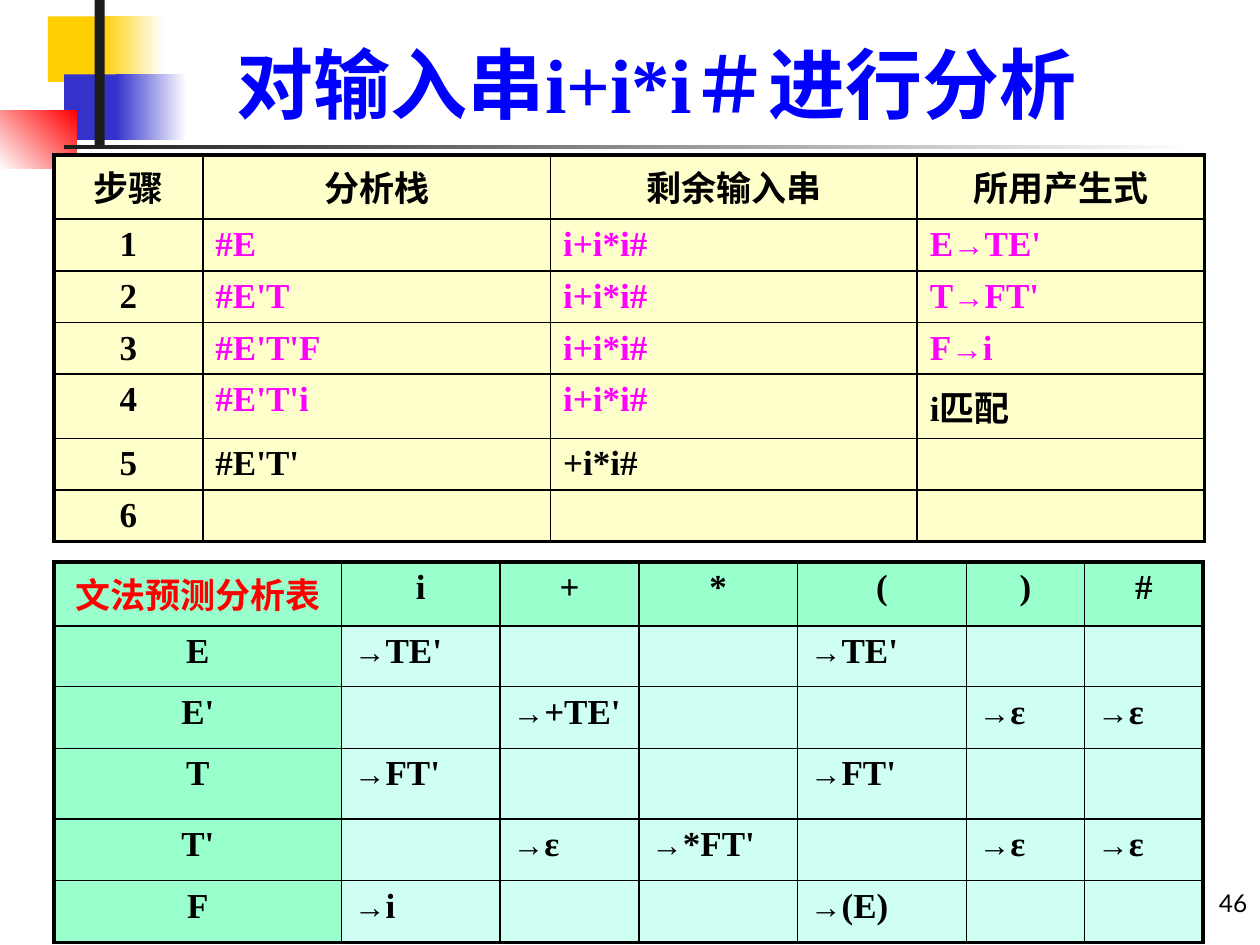
from dataclasses import dataclass

from lxml import etree
from pptx import Presentation, util as u
from pptx.dml.color import RGBColor
from pptx.enum import shapes, text
from pptx.oxml import ns


@dataclass(frozen=True)
class Theme:
    face: str = "Times New Roman"
    sans: str = "Lato"
    title: int = 44
    body: int = 20
    arrow: int = 18
    page: int = 14
    thin: float = 1
    thick: float = 2.25
    black: str = "000000"
    white: str = "FFFFFF"
    ink: str = "1C1C1C"
    gold: str = "FFCF01"
    navy: str = "3333CC"
    red: str = "FF0000"
    blue: str = "0000FF"
    pink: str = "FF00FF"
    cream: str = "FFFFCC"
    mint: str = "99FFCC"
    pale: str = "CFFFF2"


T = Theme()

STEPS = [
    ["步骤", "分析栈", "剩余输入串", "所用产生式"],
    ["1", "#E", "i+i*i#", "E→TE'"],
    ["2", "#E'T", "i+i*i#", "T→FT'"],
    ["3", "#E'T'F", "i+i*i#", "F→i"],
    ["4", "#E'T'i", "i+i*i#", "i匹配"],
    ["5", "#E'T'", "+i*i#", ""],
    ["6", "", "", ""],
]

RULES = [
    ["文法预测分析表", "i", "+", "*", "(", ")", "#"],
    ["E", "→TE'", "", "", "→TE'", "", ""],
    ["E'", "", "→+TE'", "", "", "→ε", "→ε"],
    ["T", "→FT'", "", "", "→FT'", "", ""],
    ["T'", "", "→ε", "→*FT'", "", "→ε", "→ε"],
    ["F", "→i", "", "", "→(E)", "", ""],
]


def put(item, form):
    for key, val in form.items():
        setattr(item, key, val)


def rgb(hue):
    return RGBColor.from_string(hue)


def inch(box):
    return [u.Inches(n) for n in box]


def add_run(para, words, size, hue, face=T.face, bold=True):
    run = para.add_run()
    run.text = words
    put(run.font, {"name": face, "size": u.Pt(size), "bold": bold})
    run.font.color.rgb = rgb(hue)


def add_block(slide, box, hue, end=None, angle=0):
    block = slide.shapes.add_shape(shapes.MSO_SHAPE.RECTANGLE, *inch(box))
    block.shadow.inherit = False
    block.line.fill.background()
    if end is None:
        block.fill.solid()
        block.fill.fore_color.rgb = rgb(hue)
        return
    block.fill.gradient()
    block.fill.gradient_angle = angle
    for stop, tone, place in zip(block.fill.gradient_stops, (hue, end), (0, 1)):
        stop.color.rgb = rgb(tone)
        stop.position = place


def add_label(slide, box, words, align, pad=0.1, **look):
    frame = slide.shapes.add_textbox(*inch(box)).text_frame
    put(frame, {"word_wrap": True, "vertical_anchor": text.MSO_ANCHOR.BOTTOM,
                "margin_left": u.Inches(pad), "margin_right": u.Inches(pad)})
    para = frame.paragraphs[0]
    para.alignment = align
    add_run(para, words, **look)


def add_edge(cell, side, width):
    props = cell._tc.get_or_add_tcPr()
    line = etree.SubElement(props, ns.qn("a:ln" + side), w=str(u.Pt(width)))
    fill = etree.SubElement(line, ns.qn("a:solidFill"))
    etree.SubElement(fill, ns.qn("a:srgbClr"), val=T.black)


def fill_cell(cell, words, align, hue, back):
    cell.margin_bottom = u.Inches(0.02)
    cell.fill.solid()
    cell.fill.fore_color.rgb = rgb(back)
    para = cell.text_frame.paragraphs[0]
    para.alignment = align
    head, mark, tail = words.partition("→")
    for part, size in ((head, T.body), (mark, T.arrow), (tail, T.body)):
        if part:
            add_run(para, part, size, hue)


def add_grid(slide, spot, cols, rows, data, style):
    box = (*spot, sum(cols), sum(rows))
    table = slide.shapes.add_table(len(rows), len(cols), *inch(box)).table
    put(table, {"first_row": False, "horz_banding": False})
    for col, width in zip(table.columns, cols):
        col.width = u.Inches(width)
    for row, height in zip(table.rows, rows):
        row.height = u.Inches(height)
    for r, line in enumerate(data):
        for c, words in enumerate(line):
            cell = table.cell(r, c)
            outer = {"L": c == 0, "R": c == len(cols) - 1,
                     "T": r == 0, "B": r == len(rows) - 1}
            for side, edge in outer.items():
                add_edge(cell, side, T.thick if edge else T.thin)
            align = text.PP_ALIGN.LEFT if r and c else text.PP_ALIGN.CENTER
            fill_cell(cell, words, align, *style(r, c))


def step_style(r, c):
    done = 1 <= r <= 4 and c > 0 and (r, c) != (4, 3)
    return (T.pink if done else T.black), T.cream


def rule_style(r, c):
    hue = T.black if r or c else T.red
    return hue, (T.pale if r and c else T.mint)


def add_decor(slide):
    add_block(slide, (0.38, 0.13, 0.67, 0.52), T.gold)
    add_block(slide, (0.8, 0.13, 0.5, 0.52), T.gold, T.white)
    add_block(slide, (0.51, 0.59, 0.64, 0.52), T.navy)
    add_block(slide, (0.92, 0.59, 0.56, 0.52), T.navy, T.white)
    add_block(slide, (0, 0.88, 0.61, 0.46), T.white, T.red, 45)
    add_block(slide, (0.75, 0, 0.08, 1.15), T.ink)
    add_block(slide, (0.51, 1.15, 9, 0.03), T.ink, T.white)


def main():
    deck = Presentation()
    put(deck, {"slide_width": u.Inches(10), "slide_height": u.Inches(7.5)})
    slide = deck.slides.add_slide(deck.slide_layouts[6])
    add_decor(slide)
    add_label(slide, (9.6, 6.83, 0.3, 0.5), "46", text.PP_ALIGN.RIGHT, pad=0,
              size=T.page, hue=T.black, face=T.sans, bold=False)
    add_label(slide, (1.26, 0.23, 7.91, 0.84), "对输入串i+i*i＃进行分析",
              text.PP_ALIGN.CENTER, size=T.title, hue=T.blue)
    add_grid(slide, (0.43, 4.46), (2.28, 1.26, 1.1, 1.26, 1.34, 0.94, 0.94),
             (0.51, 0.48, 0.49, 0.56, 0.49, 0.49), RULES, rule_style)
    add_grid(slide, (0.43, 1.23), (1.18, 2.76, 2.91, 2.28),
             (0.51, 0.41, 0.41, 0.41, 0.51, 0.41, 0.41), STEPS, step_style)
    deck.save("out.pptx")


if __name__ == "__main__":
    main()
